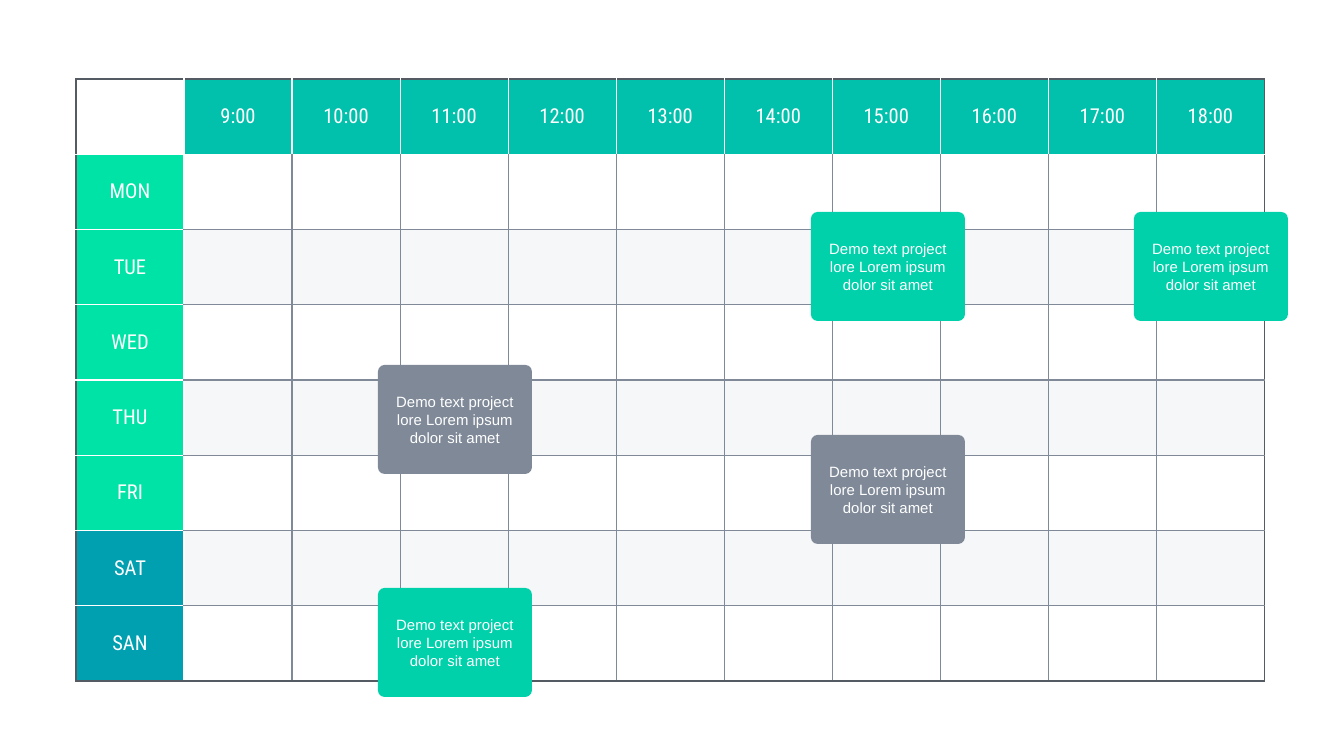
from lxml import etree
from pptx import Presentation
from pptx import util as u
from pptx.dml.color import RGBColor
from pptx.enum import shapes, text
from pptx.oxml.ns import qn

EMU_PER_PX = 914400 / 134.4
COLORS = {
    "white": "FFFFFF", "hours": "02C1AC", "weekday": "00E3A6",
    "weekend": "00A0B1", "band": "EEF0F4", "grid": "7F8998",
    "frame": "545B63", "green": "00D1AB", "grey": "7F8998",
}
HOURS = [f"{hour}:00" for hour in range(9, 19)]
DAYS = ["MON", "TUE", "WED", "THU", "FRI", "SAT", "SAN"]
WEEKEND = DAYS[-2:]
CARD_TEXT = "Demo text project lore Lorem ipsum dolor sit amet"
CARD_SIZE = (154, 109)
CARDS = [  # left, top, color
    (811, 212, "green"), (378, 365, "grey"), (811, 435, "grey"),
    (378, 588, "green"), (1134, 212, "green"),
]
LABEL_FONT = {"name": "Roboto Condensed", "size": u.Pt(11), "bold": False}
CARD_FONT = {"name": "Arial", "size": u.Pt(8)}


def px(value):
    return u.Emu(round(value * EMU_PER_PX))


def rgb(name):
    return RGBColor.from_string(COLORS[name])


def set_values(target, values):
    for name, value in values.items():
        setattr(target, name, value)


def write(frame, content, font):
    """Put one centred white paragraph into a text frame."""
    paragraph = frame.paragraphs[0]
    paragraph.text = content
    paragraph.alignment = text.PP_ALIGN.CENTER
    set_values(paragraph.font, font)
    paragraph.font.color.rgb = rgb("white")


def fill_cell(cell, color, alpha=None):
    if color is None:
        cell.fill.background()
        return
    cell.fill.solid()
    cell.fill.fore_color.rgb = rgb(color)
    if alpha is not None:
        color_element = cell._tc.tcPr.find(qn("a:solidFill"))[0]
        etree.SubElement(color_element, qn("a:alpha"), val=str(alpha * 1000))


def border_color(outer, beside_header):
    if outer:
        return "frame"
    return "white" if beside_header else "grid"


def set_borders(cell, row, column):
    """Dark outer frame, white lines around the headers, grey grid inside."""
    sides = {
        "L": border_color(column == 0, row == 0 or column == 1),
        "R": border_color(column == len(HOURS), row == 0 or column == 0),
        "T": border_color(row == 0, column == 0 or row == 1),
        "B": border_color(row == len(DAYS), column == 0 or row == 0),
    }
    properties = cell._tc.get_or_add_tcPr()
    for index, (side, color) in enumerate(sides.items()):
        line = etree.Element(qn(f"a:ln{side}"), w=str(u.Pt(0.75)))
        solid = etree.SubElement(line, qn("a:solidFill"))
        etree.SubElement(solid, qn("a:srgbClr"), val=COLORS[color])
        properties.insert(index, line)


def cell_content(row, column):
    """Return the label, fill color and opacity of a cell."""
    if row == 0:
        return (HOURS[column - 1], "hours", None) if column else ("", None, None)
    if column == 0:
        day = DAYS[row - 1]
        return day, "weekend" if day in WEEKEND else "weekday", None
    return ("", "band", 50) if row % 2 == 0 else ("", None, None)


def add_timetable(slide, left, top, width, height):
    rows, columns = len(DAYS) + 1, len(HOURS) + 1
    table = slide.shapes.add_table(
        rows, columns, px(left), px(top), px(width), px(height)).table
    set_values(table, {"first_row": False, "horz_banding": False})
    for row in range(rows):
        for column in range(columns):
            cell = table.cell(row, column)
            set_values(cell, {
                "margin_left": px(5), "margin_right": px(5),
                "margin_top": px(3), "margin_bottom": px(3),
                "vertical_anchor": text.MSO_ANCHOR.MIDDLE,
            })
            label, color, alpha = cell_content(row, column)
            if label:
                write(cell.text_frame, label, LABEL_FONT)
            fill_cell(cell, color, alpha)
            set_borders(cell, row, column)


def add_card(slide, left, top, color):
    card = slide.shapes.add_shape(
        shapes.MSO_SHAPE.ROUNDED_RECTANGLE,
        px(left), px(top), *map(px, CARD_SIZE))
    card.adjustments[0] = 0.06
    card.shadow.inherit = False
    card.fill.solid()
    card.fill.fore_color.rgb = rgb(color)
    card.line.fill.background()
    set_values(card.text_frame, {
        "margin_left": px(3), "margin_right": px(3),
        "margin_top": px(3), "margin_bottom": px(3),
        "vertical_anchor": text.MSO_ANCHOR.MIDDLE, "word_wrap": True,
    })
    write(card.text_frame, CARD_TEXT, CARD_FONT)


def main():
    presentation = Presentation()
    presentation.slide_width, presentation.slide_height = px(1344), px(756)
    slide = presentation.slides.add_slide(presentation.slide_layouts[6])

    # Week grid
    add_timetable(slide, 76, 79, 1189, 602)

    # Event cards
    for left, top, color in CARDS:
        add_card(slide, left, top, color)

    presentation.save("out.pptx")


if __name__ == "__main__":
    main()
